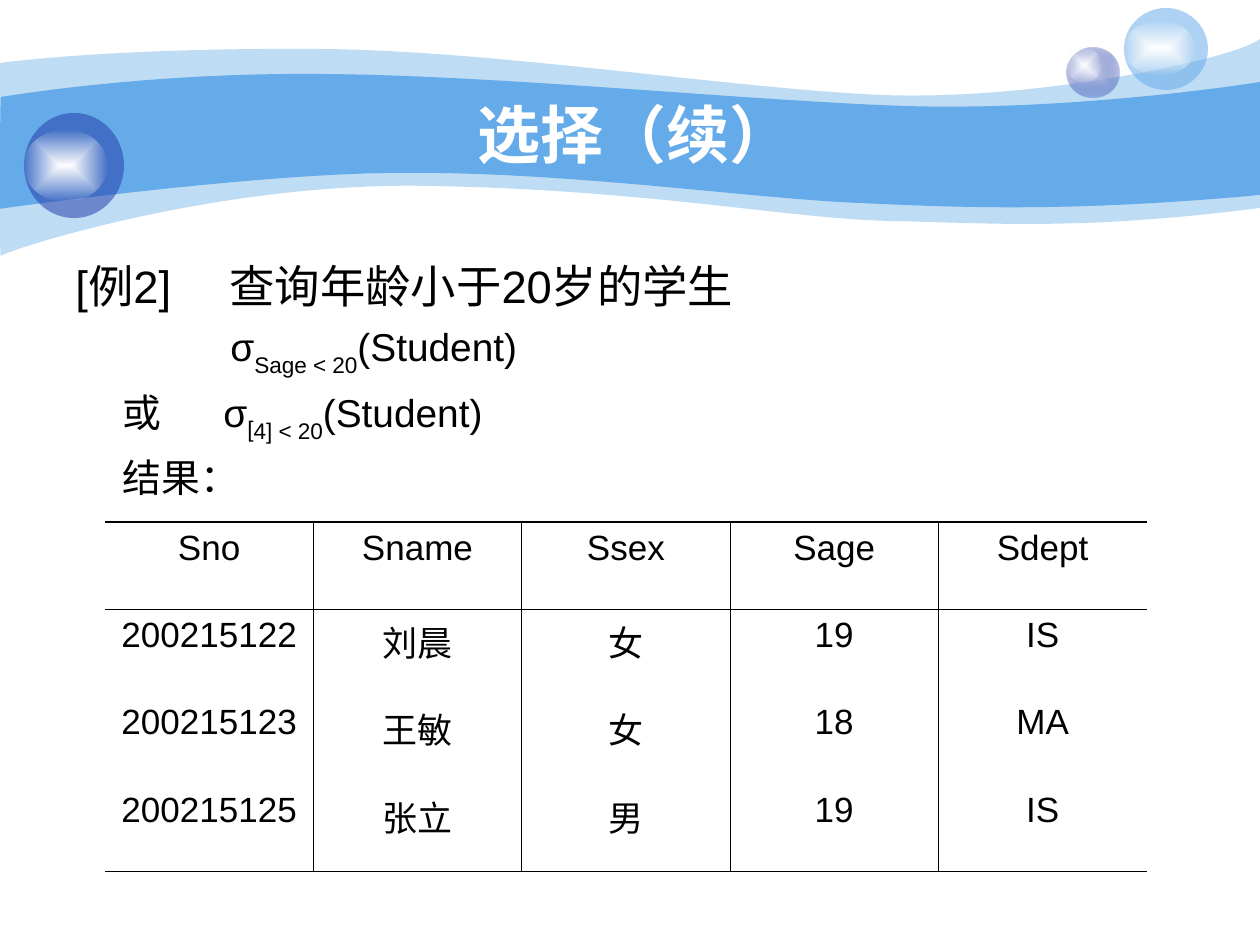
import pptx
import pptx.util
import pptx.dml.color
import pptx.enum.shapes
import pptx.enum.text
import pptx.oxml
import pptx.oxml.ns

PX = 914400 // 126
FONT = "Arial"
COLORS = {"sky": "65AAE9", "navy": "233DA9", "pale": "C7CEE9",
          "white": "FFFFFF", "black": "000000"}
ALIGN = pptx.enum.text.PP_ALIGN
NAMESPACE = pptx.oxml.ns.nsdecls("a")

# Content: each line is its size, its tab stops in px and its runs (text, baseline in percent)
TITLE = "选择（续）"
LINES = [
    (25.9, [154], [("[例2]\t查询年龄小于20岁的学生", 0)]),
    (22.2, [155], [("\tσ", 0), ("Sage < 20", -30), ("(Student)", 0)]),
    (22.2, [47, 148], [("\t或\tσ", 0), ("[", -25), ("4] < 20", -30), ("(Student)", 0)]),
    (22.2, [47], [("\t结果：", 0)]),
]
ROWS = [
    ["Sno", "Sname", "Ssex", "Sage", "Sdept"],
    ["200215122", "刘晨", "女", "19", "IS"],
    ["200215123", "王敏", "女", "18", "MA"],
    ["200215125", "张立", "男", "19", "IS"],
]

# Waves: opacity, start point, then cubic curves (three points) and straight lines (one point)
WAVES = [
    (41, (0, 63), [
        [(30, 59), (135, 48), (311, 49)], [(486, 49), (725, 88), (881, 95)],
        [(1036, 101), (1235, 59), (1260, 39)], [(1260, 208)],
        [(1079, 231), (992, 223), (888, 221)], [(784, 218), (649, 190), (432, 186)],
        [(217, 181), (5, 251), (1, 256)], [(-1, 262), (0, 95), (0, 63)]]),
    (100, (1, 97), [
        [(3, 97), (139, 73), (312, 74)], [(486, 74), (750, 101), (905, 106)],
        [(1060, 111), (1230, 87), (1260, 82)], [(1260, 195)],
        [(1075, 212), (964, 208), (859, 203)], [(755, 199), (563, 171), (399, 173)],
        [(256, 173), (-3, 209), (-1, 209)], [(0, 209), (0, 97), (1, 97)]]),
]
# Orbs: ball box, ball colour stops (colour, opacity), highlight box
ORBS = [
    ((1067, 48, 53, 50), [("pale", 100), ("navy", 31)], (1067, 48, 35, 34)),
    ((1124, 8, 84, 82), [("sky", 53)], (1124, 21, 71, 54)),
    ((24, 113, 100, 105), [("navy", 53)], (24, 130, 83, 71)),
]
GLOW = [("white", 100), ("white", 0)]


def px(*values):
    return [value * PX for value in values]


def rgb(name):
    return pptx.dml.color.RGBColor.from_string(COLORS[name])


def fill_xml(stops):
    """One stop gives a solid fill, two give a gradient from the centre outwards."""
    colors = [f'<a:srgbClr val="{COLORS[name]}"><a:alpha val="{opacity * 1000}"/></a:srgbClr>'
              for name, opacity in stops]
    if len(colors) == 1:
        return f"<a:solidFill {NAMESPACE}>{colors[0]}</a:solidFill>"
    return (f'<a:gradFill {NAMESPACE} rotWithShape="1"><a:gsLst><a:gs pos="0">{colors[0]}</a:gs>'
            f'<a:gs pos="100000">{colors[1]}</a:gs></a:gsLst><a:path path="rect">'
            '<a:fillToRect l="50000" t="50000" r="50000" b="50000"/></a:path></a:gradFill>')


def paint(shape, stops):
    shape.shadow.inherit = False
    shape.line.fill.background()
    shape.fill.solid()
    solid = shape._element.spPr.find(pptx.oxml.ns.qn("a:solidFill"))
    solid.getparent().replace(solid, pptx.oxml.parse_xml(fill_xml(stops)))


def write(paragraph, text, size=20, color="black", bold=False, align=ALIGN.CENTER, baseline=0):
    paragraph.alignment = align
    run = paragraph.add_run()
    run.text = text
    run.font.name = FONT
    run.font.size = pptx.util.Pt(size)
    run.font.bold = bold
    run.font.color.rgb = rgb(color)
    if baseline:
        run.font._element.set("baseline", str(baseline * 1000))


def set_tabs(paragraph, stops):
    tabs = "".join(f'<a:tab pos="{stop * PX}" algn="l"/>' for stop in stops)
    paragraph._p.get_or_add_pPr().append(
        pptx.oxml.parse_xml(f"<a:tabLst {NAMESPACE}>{tabs}</a:tabLst>"))


def add_wave(slide, opacity, start, segments):
    """Lay out all points as lines, then join each group of three into one curve."""
    builder = slide.shapes.build_freeform(*start, scale=PX)
    builder.add_line_segments([point for segment in segments for point in segment], close=True)
    wave = builder.convert_to_shape()
    lines = iter(list(wave._element.iter(pptx.oxml.ns.qn("a:lnTo"))))
    for segment in segments:
        group = [next(lines) for _ in segment]
        if len(group) == 3:
            curve = pptx.oxml.parse_xml(f"<a:cubicBezTo {NAMESPACE}/>")
            group[0].addprevious(curve)
            for line in group:
                curve.append(line[0])
                line.getparent().remove(line)
    paint(wave, [("sky", opacity)])


def add_orb(slide, ball, stops, highlight):
    group = slide.shapes.add_group_shape()
    for box, colors in ((ball, stops), (highlight, GLOW)):
        paint(group.shapes.add_shape(pptx.enum.shapes.MSO_SHAPE.OVAL, *px(*box)), colors)


def set_borders(cell, widths):
    """Widths in points for the left, right, top and bottom side; 0 hides the side."""
    properties = cell._tc.get_or_add_tcPr()
    for index, (side, width) in enumerate(zip("LRTB", widths)):
        fill = fill_xml([("black", 100)]) if width else "<a:noFill/>"
        properties.insert(index, pptx.oxml.parse_xml(
            f'<a:ln{side} {NAMESPACE} w="{round(width * 12700)}">{fill}</a:ln{side}>'))


def add_result_table(slide):
    row_count, column_count = len(ROWS), len(ROWS[0])
    thin, thick = 0.45, 1.08
    rules = [thick, thin] + [0] * (row_count - 2) + [thin]
    table = slide.shapes.add_table(row_count, column_count, *px(105, 522, 1042, 350)).table
    table.first_row = table.horz_banding = False
    for r, row in enumerate(ROWS):
        for c, text in enumerate(row):
            cell = table.cell(r, c)
            cell.fill.background()
            write(cell.text_frame.paragraphs[0], text)
            set_borders(cell, (thin if c else 0, thin if c < column_count - 1 else 0,
                               rules[r], rules[r + 1]))


def main():
    presentation = pptx.Presentation()
    presentation.slide_width, presentation.slide_height = px(1260, 945)
    slide = presentation.slides.add_slide(presentation.slide_layouts[5])

    # Waves and orbs
    for wave in WAVES:
        add_wave(slide, *wave)
    for orb in ORBS:
        add_orb(slide, *orb)

    # Title, brought in front of the waves
    title = slide.shapes.title
    slide.shapes._spTree.append(title._element)
    title.left, title.top, title.width, title.height = px(126, 94, 1018, 78)
    title.text_frame.auto_size = pptx.enum.text.MSO_AUTO_SIZE.NONE
    title.text_frame.vertical_anchor = pptx.enum.text.MSO_ANCHOR.MIDDLE
    write(title.text_frame.paragraphs[0], TITLE, size=36, color="white", bold=True)

    # Example
    frame = slide.shapes.add_textbox(*px(63, 252, 1133, 260)).text_frame
    frame.word_wrap = True
    for index, (size, stops, runs) in enumerate(LINES):
        paragraph = frame.add_paragraph() if index else frame.paragraphs[0]
        if index:
            paragraph.space_before = pptx.util.Pt(6)
        set_tabs(paragraph, stops)
        for text, baseline in runs:
            write(paragraph, text, size=size, align=ALIGN.JUSTIFY, baseline=baseline)

    # Result
    add_result_table(slide)
    presentation.save("out.pptx")


if __name__ == "__main__":
    main()
